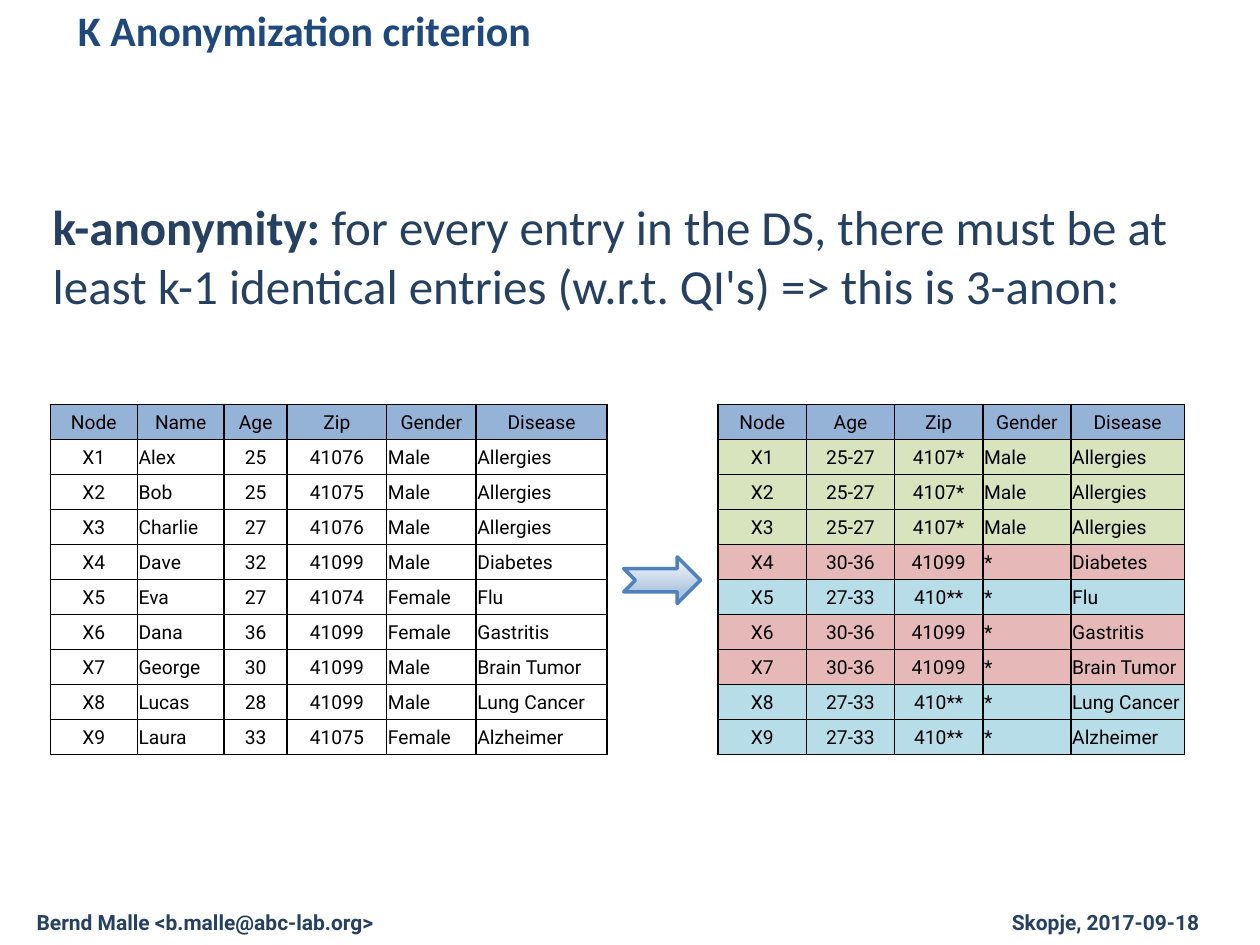
from dataclasses import dataclass

from lxml import etree
from pptx import Presentation
from pptx.dml.color import RGBColor
from pptx.enum.shapes import MSO_SHAPE
from pptx.enum.text import MSO_ANCHOR, PP_ALIGN
from pptx.oxml import parse_xml
from pptx.oxml.ns import nsdecls, qn
from pptx.util import Inches, Pt

CENTER, LEFT = PP_ALIGN.CENTER, PP_ALIGN.LEFT
MIDDLE = MSO_ANCHOR.MIDDLE
NOTCHED_ARROW = MSO_SHAPE.NOTCHED_RIGHT_ARROW


@dataclass(frozen=True)
class Theme:
    heading_font: str = "Calibri"
    detail_font: str = "Roboto"
    title_size: int = 24
    body_size: int = 28
    footer_size: int = 12
    table_size: int = 11
    title: str = "1F497D"
    body: str = "254061"
    black: str = "000000"
    header: str = "95B3D7"
    green: str = "D7E4BD"
    red: str = "E6B9B8"
    blue: str = "B7DEE8"
    arrow_line: str = "4F81BD"
    arrow_stops: tuple = ((0, "F6F9FC"), (74, "B0C6E1"), (83, "B0C6E1"), (100, "CAD9EB"))


THEME = Theme()

RAW_HEADER = ("Node", "Name", "Age", "Zip", "Gender", "Disease")
RAW_WIDTHS = (0.69, 0.69, 0.5, 0.79, 0.71, 1.04)
RAW_ROWS = [
    ("X1", "Alex", "25", "41076", "Male", "Allergies"),
    ("X2", "Bob", "25", "41075", "Male", "Allergies"),
    ("X3", "Charlie", "27", "41076", "Male", "Allergies"),
    ("X4", "Dave", "32", "41099", "Male", "Diabetes"),
    ("X5", "Eva", "27", "41074", "Female", "Flu"),
    ("X6", "Dana", "36", "41099", "Female", "Gastritis"),
    ("X7", "George", "30", "41099", "Male", "Brain Tumor"),
    ("X8", "Lucas", "28", "41099", "Male", "Lung Cancer"),
    ("X9", "Laura", "33", "41075", "Female", "Alzheimer"),
]

# Each group shares its quasi-identifiers: age, zip, gender, and a row colour
ANON_HEADER = ("Node", "Age", "Zip", "Gender", "Disease")
ANON_WIDTHS = (0.7, 0.7, 0.7, 0.7, 0.9)
GROUPS = {
    "A": (("25-27", "4107*", "Male"), THEME.green),
    "B": (("30-36", "41099", "*"), THEME.red),
    "C": (("27-33", "410**", "*"), THEME.blue),
}
MEMBERSHIP = "AAABCBBCC"
CENTERED_COLUMNS = {"Node", "Age", "Zip"}


def style_font(font, name, size, color, bold=False):
    font.name, font.size, font.bold = name, Pt(size), bold
    font.color.rgb = RGBColor.from_string(color)


def add_text(slide, box, runs, font, size, color, inset=None):
    """Place one paragraph of (text, bold) runs in the box."""
    frame = slide.shapes.add_textbox(*map(Inches, box)).text_frame
    frame.word_wrap = True
    if inset is not None:
        frame.margin_left = frame.margin_right = Inches(inset)
        frame.margin_top = frame.margin_bottom = Inches(inset)
    paragraph = frame.paragraphs[0]
    style_font(paragraph.font, font, size, color, runs[0][1])
    for text, bold in runs:
        run = paragraph.add_run()
        run.text = text
        if bold != runs[0][1]:
            run.font.bold = bold


def add_borders(cell):
    properties = cell._tc.get_or_add_tcPr()
    for position, side in enumerate(("lnL", "lnR", "lnT", "lnB")):
        properties.insert(position, parse_xml(
            f'<a:{side} {nsdecls("a")} w="{Pt(1)}"><a:solidFill>'
            f'<a:srgbClr val="{THEME.black}"/></a:solidFill></a:{side}>'))


def fill_cell(cell, text, align, color):
    cell.vertical_anchor = MIDDLE
    cell.margin_left = cell.margin_right = cell.margin_top = Inches(0.01)
    cell.margin_bottom = 0
    if color:
        cell.fill.solid()
        cell.fill.fore_color.rgb = RGBColor.from_string(color)
    else:
        cell.fill.background()
    add_borders(cell)
    cell.text = text
    paragraph = cell.text_frame.paragraphs[0]
    paragraph.alignment = align
    style_font(paragraph.font, THEME.detail_font, THEME.table_size, THEME.black)


def add_data_table(slide, box, header, widths, rows, row_colors):
    table = slide.shapes.add_table(len(rows) + 1, len(header), *map(Inches, box)).table
    table.first_row = table.horz_banding = False
    for column, width in zip(table.columns, widths):
        column.width = Inches(width)
    for row in table.rows:
        row.height = Inches(box[3] / len(table.rows))
    for r, values in enumerate([header, *rows]):
        color = row_colors[r - 1] if r else THEME.header
        for c, text in enumerate(values):
            centered = r == 0 or header[c] in CENTERED_COLUMNS
            fill_cell(table.cell(r, c), text, CENTER if centered else LEFT, color)


def add_arrow(slide, box):
    arrow = slide.shapes.add_shape(NOTCHED_ARROW, *map(Inches, box))
    arrow.shadow.inherit = False
    arrow.line.color.rgb = RGBColor.from_string(THEME.arrow_line)
    arrow.line.width = Pt(2)
    arrow.fill.gradient()
    arrow.fill.gradient_angle = 270
    stops = arrow._element.spPr.find(qn("a:gradFill")).find(qn("a:gsLst"))
    for stop in list(stops):
        stops.remove(stop)
    for percent, color in THEME.arrow_stops:
        stop = etree.SubElement(stops, qn("a:gs"), pos=str(percent * 1000))
        etree.SubElement(stop, qn("a:srgbClr"), val=color)


def add_footer(slide, boxes):
    texts = ("Bernd Malle <b.malle@abc-lab.org>", "Skopje, 2017-09-18")
    for box, text in zip(boxes, texts):
        add_text(slide, box, [(text, True)], THEME.detail_font,
                 THEME.footer_size, THEME.body, inset=0.05)


def main():
    presentation = Presentation()
    presentation.slide_width, presentation.slide_height = Inches(10), Inches(7.5)
    slide = presentation.slides.add_slide(presentation.slide_layouts[6])

    add_footer(slide, [(0.24, 7.17, 3.02, 0.3), (7.98, 7.17, 1.81, 0.3)])

    # Title and definition
    add_text(slide, (0.52, -0.01, 8.02, 0.47), [("K Anonymization criterion", True)],
             THEME.heading_font, THEME.title_size, THEME.title)
    definition = [
        ("k-anonymity: ", True),
        ("for every entry in the DS, there must be at least k-1 identical entries "
         "(w.r.t. QI's) => this is 3-anon:", False),
    ]
    add_text(slide, (0.32, 1.51, 9.5, 1.18), definition,
             THEME.heading_font, THEME.body_size, THEME.body)

    # Raw data, then the same people anonymized
    add_data_table(slide, (0.4, 3.21, 4.42, 2.78), RAW_HEADER, RAW_WIDTHS,
                   RAW_ROWS, [None] * len(RAW_ROWS))
    anon_rows = [(raw[0], *GROUPS[group][0], raw[-1])
                 for raw, group in zip(RAW_ROWS, MEMBERSHIP)]
    add_data_table(slide, (5.7, 3.21, 3.7, 2.78), ANON_HEADER, ANON_WIDTHS,
                   anon_rows, [GROUPS[group][1] for group in MEMBERSHIP])
    add_arrow(slide, (4.95, 4.42, 0.61, 0.37))

    presentation.save("out.pptx")


if __name__ == "__main__":
    main()
